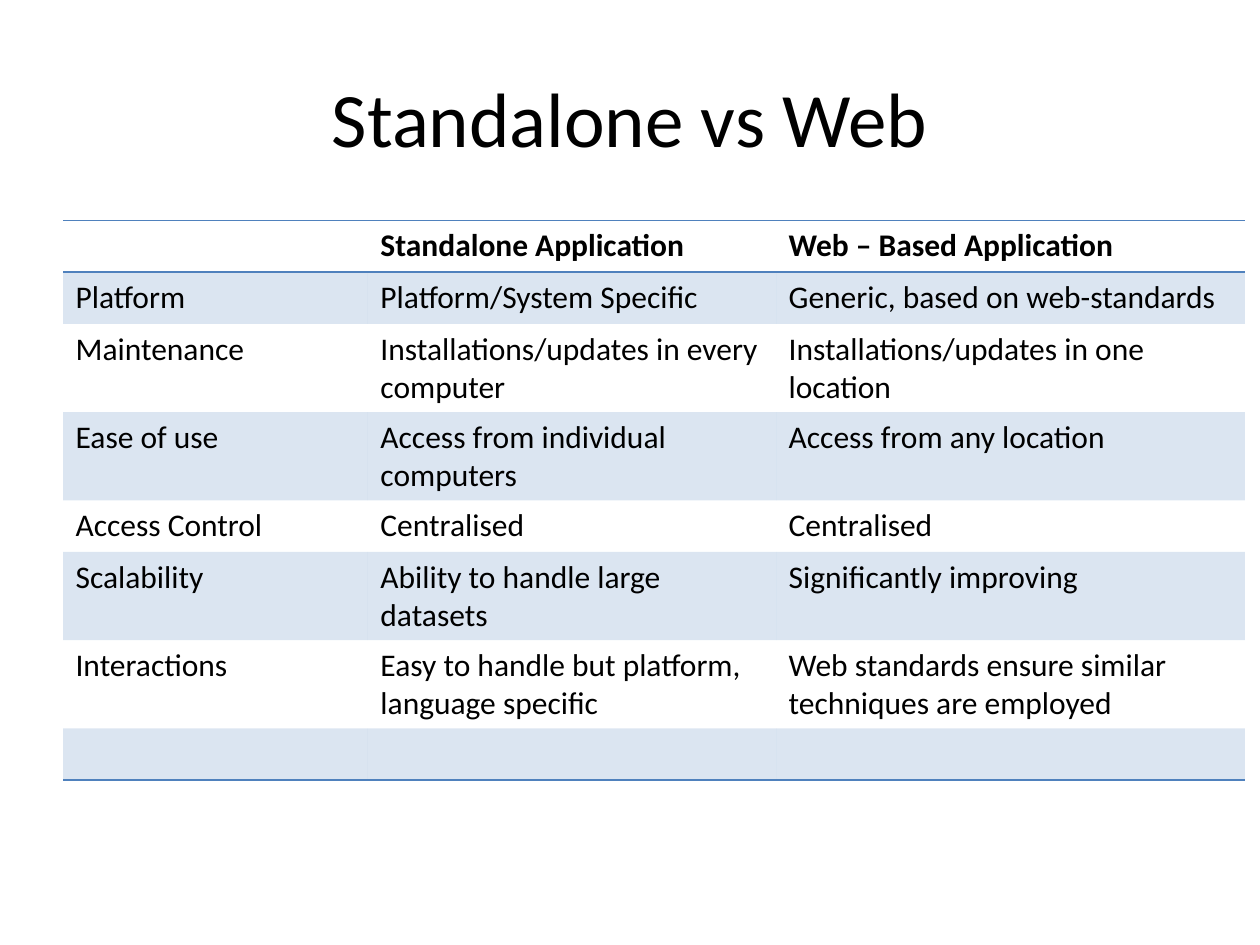
from lxml.etree import SubElement
from pptx import Presentation
from pptx.dml.color import RGBColor
from pptx.enum.text import MSO_ANCHOR, PP_ALIGN
from pptx.oxml.ns import qn
from pptx.util import Inches, Pt

COLORS = {"text": "000000", "accent": "4F81BD"}
FONT = "Calibri"
NO_STYLE = "{2D5ABB26-0587-4C30-8999-92F81FD0307C}"
COLUMN_WIDTHS = [2.42, 3.24, 3.72]
ROW_HEIGHT = 0.41
ROWS = [
    ["", "Standalone Application", "Web – Based Application"],
    ["Platform", "Platform/System Specific", "Generic, based on web-standards"],
    ["Maintenance", "Installations/updates in every computer",
     "Installations/updates in one location"],
    ["Ease of use", "Access from individual computers", "Access from any location"],
    ["Access Control", "Centralised", "Centralised"],
    ["Scalability", "Ability to handle large datasets", "Significantly improving"],
    ["Interactions", "Easy to handle but platform, language specific",
     "Web standards ensure similar techniques are employed"],
    ["", "", ""],
]


def set_font(p, size, bold=False):
    p.font.name = FONT
    p.font.size = Pt(size)
    p.font.bold = bold
    p.font.color.rgb = RGBColor.from_string(COLORS["text"])


def add_title(slide, text):
    box = slide.shapes.add_textbox(Inches(0.5), Inches(0.3), Inches(9), Inches(1.25))
    tf = box.text_frame
    tf.word_wrap = True
    tf.vertical_anchor = MSO_ANCHOR.MIDDLE
    p = tf.paragraphs[0]
    p.text = text
    p.alignment = PP_ALIGN.CENTER
    set_font(p, 44)


def add_border(cell, side):
    """Draw one edge of a cell; side is a tag such as a:lnT."""
    ln = SubElement(cell._tc.get_or_add_tcPr(), qn(side), w=str(Pt(1)))
    fill = SubElement(ln, qn("a:solidFill"))
    SubElement(fill, qn("a:srgbClr"), val=COLORS["accent"])


def fill_band(cell):
    """Tint a cell with the accent colour at 20% opacity."""
    cell.fill.solid()
    cell.fill.fore_color.rgb = RGBColor.from_string(COLORS["accent"])
    color = cell._tc.tcPr.find(qn("a:solidFill")).find(qn("a:srgbClr"))
    SubElement(color, qn("a:alpha"), val="20000")


def format_cell(cell, text, row):
    is_header = row == 0
    cell.text = text
    set_font(cell.text_frame.paragraphs[0], 18, bold=is_header)
    if is_header:
        add_border(cell, "a:lnT")
    if is_header or row == len(ROWS) - 1:
        add_border(cell, "a:lnB")
    if row % 2:
        fill_band(cell)
    else:
        cell.fill.background()


def add_comparison_table(slide):
    frame = slide.shapes.add_table(
        len(ROWS), len(COLUMN_WIDTHS), Inches(0.5), Inches(1.75),
        Inches(sum(COLUMN_WIDTHS)), Inches(ROW_HEIGHT * len(ROWS)))
    table = frame.table
    table.horz_banding = False
    table._tbl.tblPr.find(qn("a:tableStyleId")).text = NO_STYLE
    for column, width in zip(table.columns, COLUMN_WIDTHS):
        column.width = Inches(width)
    for i, texts in enumerate(ROWS):
        table.rows[i].height = Inches(ROW_HEIGHT)
        for j, text in enumerate(texts):
            format_cell(table.cell(i, j), text, i)


def main():
    prs = Presentation()
    prs.slide_width = Inches(10)
    prs.slide_height = Inches(7.5)
    slide = prs.slides.add_slide(prs.slide_layouts[6])
    add_title(slide, "Standalone vs Web")
    add_comparison_table(slide)
    prs.save("out.pptx")


if __name__ == "__main__":
    main()
